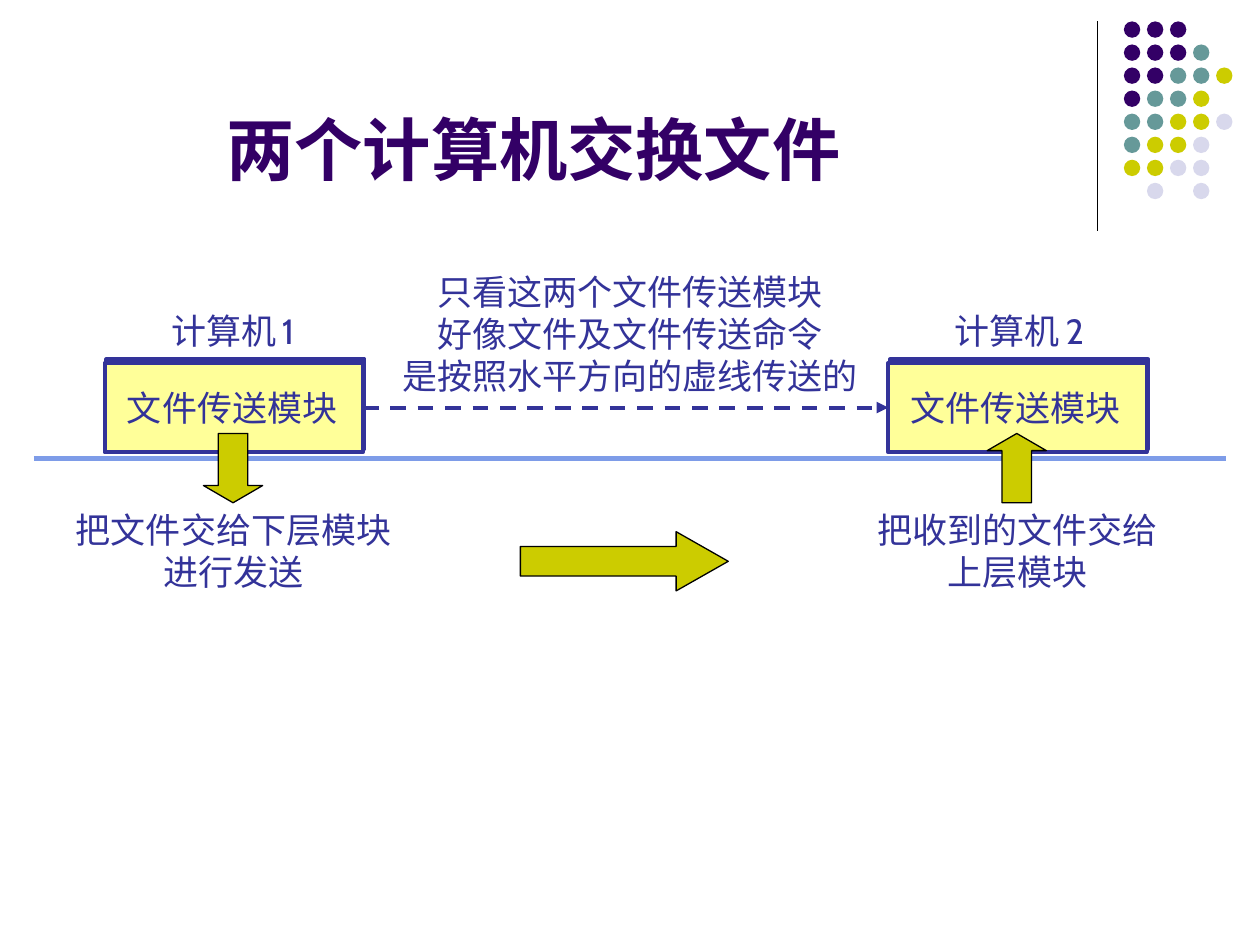
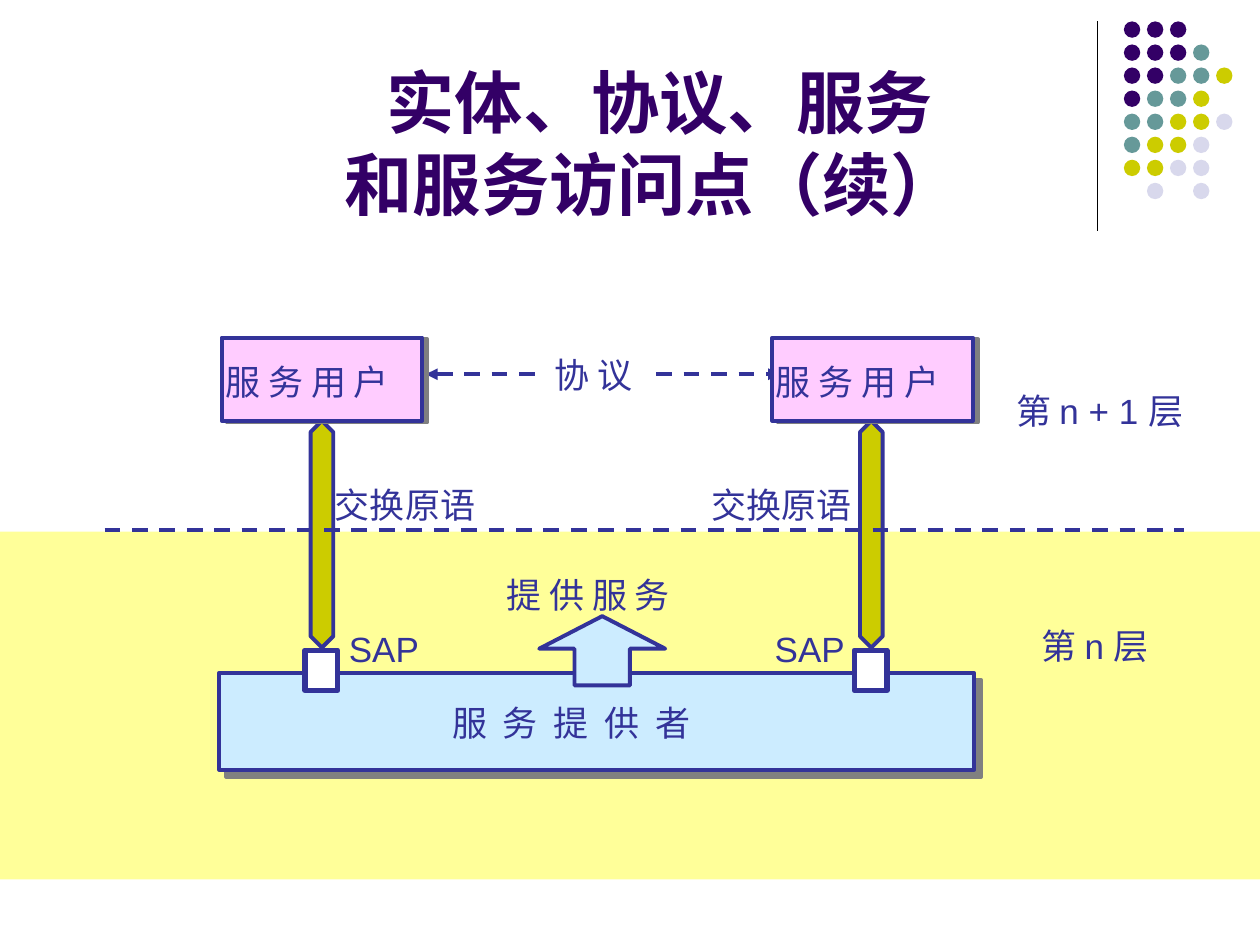
from dataclasses import dataclass
from typing import NamedTuple

from lxml import etree
from pptx import Presentation
from pptx.dml.color import RGBColor
from pptx.enum.dml import MSO_LINE
from pptx.enum.shapes import MSO_CONNECTOR, MSO_SHAPE
from pptx.enum.text import MSO_ANCHOR, PP_ALIGN
from pptx.oxml.ns import qn
from pptx.util import Inches, Pt

RECTANGLE, ELLIPSE = MSO_SHAPE.RECTANGLE, MSO_SHAPE.OVAL
UP_ARROW, DOWN_ARROW = MSO_SHAPE.UP_ARROW, MSO_SHAPE.DOWN_ARROW
RIGHT_ARROW, UP_DOWN_ARROW = MSO_SHAPE.RIGHT_ARROW, MSO_SHAPE.UP_DOWN_ARROW
STRAIGHT, DASH = MSO_CONNECTOR.STRAIGHT, MSO_LINE.DASH
LEFT, CENTER = PP_ALIGN.LEFT, PP_ALIGN.CENTER
TOP, BOTTOM = MSO_ANCHOR.TOP, MSO_ANCHOR.BOTTOM
LEFT_SIDE, RIGHT_SIDE = 1, 3

COLUMNS, ROWS = 100, 75
CELL = Inches(0.1)


@dataclass(frozen=True)
class Theme:
    purple: str = "330066"
    teal: str = "669999"
    olive: str = "CCCC00"
    lilac: str = "D8D8EC"
    indigo: str = "333399"
    yellow: str = "FFFF99"
    pink: str = "FFCCFF"
    pale_blue: str = "CCECFF"
    divider: str = "7E9CE8"
    grey: str = "808080"
    black: str = "000000"
    white: str = "FFFFFF"
    title_size: int = 39
    body_size: int = 20
    space_size: int = 14
    thin: float = 0.75
    medium: float = 2.25
    thick: float = 3
    font: str = "Arial"
    module_font: str = "Cabin"


THEME = Theme()
DOT_COLORS = {"P": THEME.purple, "T": THEME.teal, "Y": THEME.olive, "L": THEME.lilac}
DOT_ROWS = ("PPP", "PPPT", "PPTTY", "PTTY", "TTYYL", "TYYL", "YYLL", " L L")


class Box(NamedTuple):
    left: float
    top: float
    width: float
    height: float

    def inner(self, left, top, width, height):
        return Box(self.left + left, self.top + top, width, height)

    def lengths(self):
        return [round(value * CELL) for value in self]


def color(code):
    return RGBColor.from_string(code)


def add_figure(slide, kind, box, fill, line=None, width=THEME.thin, adjustments=(), shadow=None):
    shape = slide.shapes.add_shape(kind, *box.lengths())
    for index, value in enumerate(adjustments):
        shape.adjustments[index] = value
    shape.fill.solid()
    shape.fill.fore_color.rgb = color(fill)
    if line:
        shape.line.color.rgb = color(line)
        shape.line.width = Pt(width)
    else:
        shape.line.fill.background()
    shape.shadow.inherit = False
    if shadow:
        shade, distance, angle = shadow
        effects = shape._element.spPr.find(qn("a:effectLst"))
        outer = etree.SubElement(effects, qn("a:outerShdw"), blurRad="0",
                                 dist=str(Pt(distance)), dir=str(angle * 60000),
                                 algn="ctr", rotWithShape="0")
        etree.SubElement(outer, qn("a:srgbClr"), val=shade)
    return shape


def add_text(slide, box, *lines, size=THEME.body_size, font=THEME.font, ink=THEME.indigo,
             bold=False, align=LEFT, anchor=TOP, fill=None):
    shape = slide.shapes.add_textbox(*box.lengths())
    if fill:
        shape.fill.solid()
        shape.fill.fore_color.rgb = color(fill)
    frame = shape.text_frame
    frame.word_wrap = True
    frame.vertical_anchor = anchor
    frame.margin_left = CELL if align == LEFT else 0
    frame.margin_right = 0
    for index, line in enumerate(lines):
        paragraph = frame.add_paragraph() if index else frame.paragraphs[0]
        paragraph.alignment = align
        pieces = [(line, size)] if isinstance(line, str) else line
        for words, points in pieces:
            run = paragraph.add_run()
            run.text = words
            run.font.size = Pt(points)
            run.font.name = font
            run.font.bold = bold
            run.font.color.rgb = color(ink)
    return shape


def add_line(slide, start, end, ink, width, dashed=False, heads=()):
    points = [round(value * CELL) for value in (*start, *end)]
    connector = slide.shapes.add_connector(STRAIGHT, *points)
    connector.line.color.rgb = color(ink)
    connector.line.width = Pt(width)
    if dashed:
        connector.line.dash_style = DASH
    properties = connector._element.spPr
    for head in heads:
        etree.SubElement(properties.find(qn("a:ln")), qn(f"a:{head}"), type="triangle")
    etree.SubElement(properties, qn("a:effectLst"))
    return connector


def add_corner(slide, box):
    add_line(slide, (box.left, box.top), (box.left, box.top + box.height),
             THEME.black, THEME.thin)
    pitch, diameter = 1.83, 1.3
    for row, codes in enumerate(DOT_ROWS):
        for column, code in enumerate(codes):
            if code in DOT_COLORS:
                dot = box.inner(2.1 + column * pitch, row * pitch, diameter, diameter)
                add_figure(slide, ELLIPSE, dot, DOT_COLORS[code])


def add_title(slide, box, *lines):
    add_text(slide, box, *lines, size=THEME.title_size, ink=THEME.purple,
             bold=True, align=CENTER, anchor=BOTTOM)


def start_slide(presentation):
    slide = presentation.slides.add_slide(presentation.slide_layouts[6])
    add_corner(slide, Box(87.1, 1.7, 11, 16.6))
    return slide


def add_computer(slide, box, number, arrow, explanation):
    module = add_figure(slide, RECTANGLE, box, THEME.yellow, THEME.indigo, THEME.medium,
                        shadow=(THEME.indigo, 2.2, 296))
    add_text(slide, box.inner(0.8, 1.4, 18.7, 4.4), "文件传送模块", font=THEME.module_font)
    label = [("计算机", THEME.body_size), (" ", THEME.space_size), (number, THEME.body_size)]
    add_text(slide, box.inner(4.3, -4.7, 13.3, 4.4), label, font=THEME.module_font)
    add_figure(slide, arrow, box.inner(7.85, 5.6, 4.7, 5.5), THEME.olive, THEME.black,
               adjustments=(0.5, 0.29))
    width = 2.78 * max(map(len, explanation)) + 2
    add_text(slide, box.inner((box.width - width) / 2, 11.1, width, 7.7), *explanation,
             font=THEME.module_font, align=CENTER)
    return module


def build_file_exchange(presentation):
    slide = start_slide(presentation)
    add_title(slide, Box(5, 1.3, 75.9, 14.2), "两个计算机交换文件 ")
    add_line(slide, (2.7, 36.4), (COLUMNS - 2.7, 36.4), THEME.divider, THEME.thick)
    sender = add_computer(slide, Box(8.3, 28.8, 20.5, 7.1), "1", DOWN_ARROW,
                          ("把文件交给下层模块", "进行发送"))
    receiver = add_computer(slide, Box(70.5, 28.8, 20.5, 7.1), "2", UP_ARROW,
                            ("把收到的文件交给", "上层模块"))
    virtual_path = add_line(slide, (28.8, 32.4), (70.5, 32.4), THEME.indigo, THEME.medium,
                            dashed=True, heads=("tailEnd",))
    virtual_path.begin_connect(sender, RIGHT_SIDE)
    virtual_path.end_connect(receiver, LEFT_SIDE)
    add_text(slide, Box(30.9, 21, 38.2, 11), "只看这两个文件传送模块", "好像文件及文件传送命令",
             "是按照水平方向的虚线传送的", font=THEME.module_font, align=CENTER)
    add_figure(slide, RIGHT_ARROW, Box(41.3, 42.2, 16.5, 4.7), THEME.olive, THEME.black,
               adjustments=(0.5, 0.88))


def add_protocol(slide, box):
    height = box.top + 2.1
    add_line(slide, (box.left, height), (box.left + box.width, height), THEME.indigo,
             THEME.medium, dashed=True, heads=("headEnd", "tailEnd"))
    add_text(slide, box.inner(9.2, 0, 8.9, box.height), "协 议", fill=THEME.white)


def add_provider(slide, box):
    add_figure(slide, RECTANGLE, box, THEME.pale_blue, THEME.indigo, THEME.medium,
               shadow=(THEME.grey, 5.7, 45))
    add_figure(slide, UP_ARROW, box.inner(25.4, -4.5, 10, 5.5), THEME.pale_blue,
               THEME.indigo, THEME.medium, adjustments=(0.44, 0.47))
    add_text(slide, box.inner(21.8, -8.4, 17.3, 4.4), "提 供 服 务")
    add_text(slide, box.inner(17.5, 1.8, 27, 4.4), "服  务  提  供  者")


def add_service_lane(slide, box, exchange_left, access_left):
    add_text(slide, box.inner(exchange_left, 4.5, 13.1, 4.4), "交换原语")
    add_figure(slide, UP_DOWN_ARROW, box.inner(0.45, 0, 1.8, 18), THEME.olive,
               THEME.indigo, THEME.medium, adjustments=(0.5, 2.01))
    add_figure(slide, RECTANGLE, box.inner(0, 18.2, box.width, 3.2), THEME.white,
               THEME.indigo, THEME.thick)
    add_text(slide, box.inner(access_left, 15.9, 7.5, 4.4), "SAP")


def add_service_user(slide, box):
    add_figure(slide, RECTANGLE, box, THEME.pink, THEME.indigo, THEME.medium,
               shadow=(THEME.grey, 3.2, 18))
    add_text(slide, box.inner(-0.7, 1.3, 17.3, 4.4), "服 务 用 户")


def build_service_access(presentation):
    slide = start_slide(presentation)
    add_figure(slide, RECTANGLE, Box(0, 42.2, COLUMNS, 27.6), THEME.yellow)
    add_title(slide, Box(12.2, 2.3, 80.3, 16), "实体、协议、服务", "和服务访问点（续） ")
    add_protocol(slide, Box(33.8, 27.6, 28.1, 4.4))
    add_provider(slide, Box(17.4, 53.4, 59.9, 7.7))
    add_service_lane(slide, Box(24.2, 33.4, 2.6, 21.4), 1.4, 2.5)
    add_service_lane(slide, Box(67.8, 33.4, 2.6, 21.4), -12.3, -7.3)
    for left in (17.6, 61.3):
        add_service_user(slide, Box(left, 26.8, 15.9, 6.6))
    add_line(slide, (8.3, 42.1), (94, 42.1), THEME.indigo, THEME.medium, dashed=True)
    add_text(slide, Box(81.7, 49.1, 12.6, 4.4), "第 n 层", fill=THEME.yellow)
    add_text(slide, Box(79.7, 30.4, 17.3, 4.4), "第 n + 1 层", fill=THEME.white)


def main():
    presentation = Presentation()
    presentation.slide_width = COLUMNS * CELL
    presentation.slide_height = ROWS * CELL
    build_file_exchange(presentation)
    build_service_access(presentation)
    presentation.save("out.pptx")


if __name__ == "__main__":
    main()
